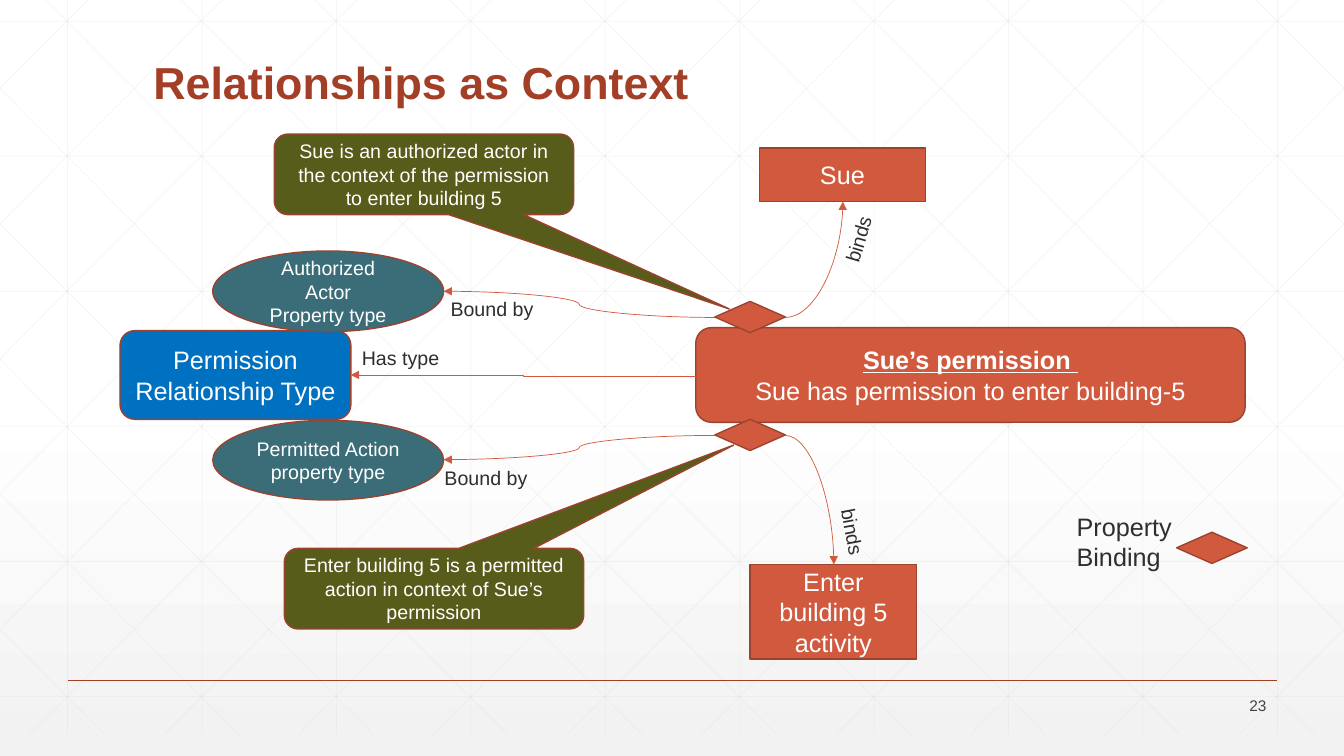
from pptx import Presentation
from pptx.dml.color import RGBColor
from pptx.enum.shapes import MSO_CONNECTOR as CXN, MSO_SHAPE as SHAPE
from pptx.enum.text import MSO_ANCHOR as ANCHOR, PP_ALIGN as ALIGN
from pptx.oxml.ns import qn
from pptx.util import Inches, Pt
from lxml.etree import SubElement

WIDTH, HEIGHT = 13.33, 7.5
FONT = "Arial"
COLORS = {
    "white": "FFFFFF", "fade": "F2F2F2", "grid": "D9D9D9", "title": "A43F27",
    "ink": "2D2E2D", "number": "424342", "orange": "D15A3E", "edge": "9B432E",
    "blue": "0070C0", "teal": "3B6D79", "olive": "575C1A",
}

# shape, (left, top, width, height), fill, size, paragraphs, adjustments
NODES = [
    (SHAPE.ROUNDED_RECTANGLE, (6.9, 3.25, 5.45, 0.94), "orange", 18,
     [("Sue’s permission ", {"bold": True, "underline": True}),
      "Sue has permission to enter building-5"], ()),
    (SHAPE.FLOWCHART_ALTERNATE_PROCESS, (1.19, 3.28, 2.29, 0.88), "blue", 18,
     ["Permission Relationship Type"], ()),
    (SHAPE.OVAL, (2.11, 2.49, 2.29, 0.8), "teal", 14,
     ["Authorized Actor", "Property type"], ()),
    (SHAPE.OVAL, (2.11, 4.17, 2.29, 0.79), "teal", 14,
     ["Permitted Action property type"], ()),
    (SHAPE.RECTANGLE, (7.53, 1.47, 1.65, 0.53), "orange", 18, ["Sue"], ()),
    (SHAPE.RECTANGLE, (7.44, 5.6, 1.65, 0.94), "orange", 18,
     ["Enter building 5 activity"], ()),
]
BINDINGS = [(7.09, 4.16), (7.09, 2.99), (11.67, 5.28)]
CALLOUTS = [
    (SHAPE.ROUNDED_RECTANGULAR_CALLOUT, (2.72, 1.33, 2.97, 0.8), "olive", 14,
     ["Sue is an authorized actor in the context of the permission to enter building 5"],
     (1.02, 1.67, 0.17)),
    (SHAPE.ROUNDED_RECTANGULAR_CALLOUT, (2.82, 5.44, 2.97, 0.8), "olive", 14,
     ["Enter building 5 is a permitted action in context of Sue’s permission"],
     (1.0, -1.78, 0.17)),
]
# kind, start, end, preset that replaces the default one
ARROWS = [
    (CXN.ELBOW, (6.9, 3.73), (3.48, 3.72), None),
    (CXN.CURVE, (7.09, 4.32), (4.4, 4.56), None),
    (CXN.CURVE, (7.79, 4.32), (8.27, 5.6), "curvedConnector2"),
    (CXN.CURVE, (7.79, 3.15), (8.36, 2), "curvedConnector2"),
    (CXN.CURVE, (7.09, 3.15), (4.4, 2.89), None),
]
# paragraphs, box, size, rotation
LABELS = [
    (["Has type"], (3.49, 3.38, 0.98, 0.34), 14, 0),
    (["Property", "Binding"], (10.58, 5.02, 1.16, 0.71), 18, 0),
    (["Bound by"], (4.37, 2.9, 1.03, 0.34), 14, 0),
    (["Bound by"], (4.31, 4.57, 1.03, 0.34), 14, 0),
    (["binds"], (8.18, 2.2, 0.67, 0.34), 14, 286.4),
    (["binds"], (8.12, 5.11, 0.67, 0.34), 14, 79.4),
]


def rgb(name):
    return RGBColor.from_string(COLORS[name])


def inches(values):
    return [Inches(v) for v in values]


def write(sp, paragraphs, size=14, color="white", align=ALIGN.CENTER,
          anchor=ANCHOR.MIDDLE, wrap=True, bold=False):
    """Fill a shape; a paragraph is a string or (string, font overrides)."""
    tf = sp.text_frame
    tf.word_wrap = wrap
    tf.vertical_anchor = anchor
    for i, item in enumerate(paragraphs):
        text, extra = (item, {}) if isinstance(item, str) else item
        p = tf.add_paragraph() if i else tf.paragraphs[0]
        p.alignment = align
        r = p.add_run()
        r.text = text
        r.font.name, r.font.size, r.font.bold = FONT, Pt(size), bold
        r.font.color.rgb = rgb(color)
        for key, value in extra.items():
            setattr(r.font, key, value)


def add_node(s, kind, box, fill, size, paragraphs, adjustments):
    sp = s.shapes.add_shape(kind, *inches(box))
    sp.shadow.inherit = False
    sp.fill.solid()
    sp.fill.fore_color.rgb = rgb(fill)
    sp.line.color.rgb = rgb("edge")
    sp.line.width = Pt(1)
    for i, value in enumerate(adjustments):
        sp.adjustments[i] = value
    write(sp, paragraphs, size=size)


def add_line(s, start, end, color, width=0.5, kind=CXN.STRAIGHT,
             preset=None, arrow=False, alpha=None):
    cx = s.shapes.add_connector(kind, *inches(start + end))
    cx.line.color.rgb = rgb(color)
    cx.line.width = Pt(width)
    props = cx.element.spPr
    ln = props.find(qn("a:ln"))
    if preset:
        props.find(qn("a:prstGeom")).set("prst", preset)
    if arrow:
        SubElement(ln, qn("a:tailEnd"), type="triangle")
    if alpha:
        SubElement(next(ln.iter(qn("a:srgbClr"))), qn("a:alpha"), val=str(alpha * 1000))
    SubElement(props, qn("a:effectLst"))


def add_grid(s):
    step, top, bottom = 4 / 3, -0.21, 7.29
    slope = 7.5 / 7.455
    lines = [((0.67 + step * i, top), (0.67 + step * i, bottom)) for i in range(10)]
    lines += [((0, 0.21 + 1.34 * i), (WIDTH, 0.21 + 1.34 * i)) for i in range(6)]
    for i in range(-5, 10):
        x = 0.25 + step * i
        left, right = max(x, 0), min(x + 7.455, WIDTH)
        y1, y2 = (top + (edge - x) * slope for edge in (left, right))
        lines += [((left, y1), (right, y2)), ((WIDTH - left, y1), (WIDTH - right, y2))]
    for start, end in lines:
        add_line(s, start, end, "grid", alpha=25)


def add_background(s):
    fill = s.background.fill
    fill.gradient()
    fill.gradient_angle = 270
    for stop, name, position in zip(fill.gradient_stops, ("white", "fade"), (0.53, 1)):
        stop.color.rgb = rgb(name)
        stop.position = position


def main():
    prs = Presentation()
    prs.slide_width, prs.slide_height = inches((WIDTH, HEIGHT))
    s = prs.slides.add_slide(prs.slide_layouts[5])
    add_background(s)
    add_grid(s)
    add_line(s, (0.67, 6.75), (12.67, 6.75), "title", width=1)

    title = s.shapes.title
    title.left, title.top, title.width, title.height = inches((1.42, 0.55, 10.5, 1.25))
    write(title, ["Relationships as Context"], size=32, color="title",
          align=ALIGN.LEFT, anchor=ANCHOR.TOP, bold=True)
    title.text_frame.paragraphs[0].line_spacing = 0.9
    title.element.getparent().append(title.element)  # in front of the grid

    number = s.shapes.add_textbox(*inches((11.66, 6.88, 1, 0.24)))
    write(number, ["23"], size=11, color="number", align=ALIGN.RIGHT)

    for node in NODES:
        add_node(s, *node)
    for kind, start, end, preset in ARROWS:
        add_line(s, start, end, "orange", kind=kind, preset=preset, arrow=True)
    for corner in BINDINGS:
        add_node(s, SHAPE.FLOWCHART_DECISION, corner + (0.7, 0.31), "orange", 14, [], ())
    for paragraphs, box, size, rotation in LABELS:
        label = s.shapes.add_textbox(*inches(box))
        label.rotation = rotation
        write(label, paragraphs, size=size, color="ink", align=ALIGN.LEFT,
              anchor=ANCHOR.TOP, wrap=False)
    for callout in CALLOUTS:
        add_node(s, *callout)
    prs.save("out.pptx")


if __name__ == "__main__":
    main()
